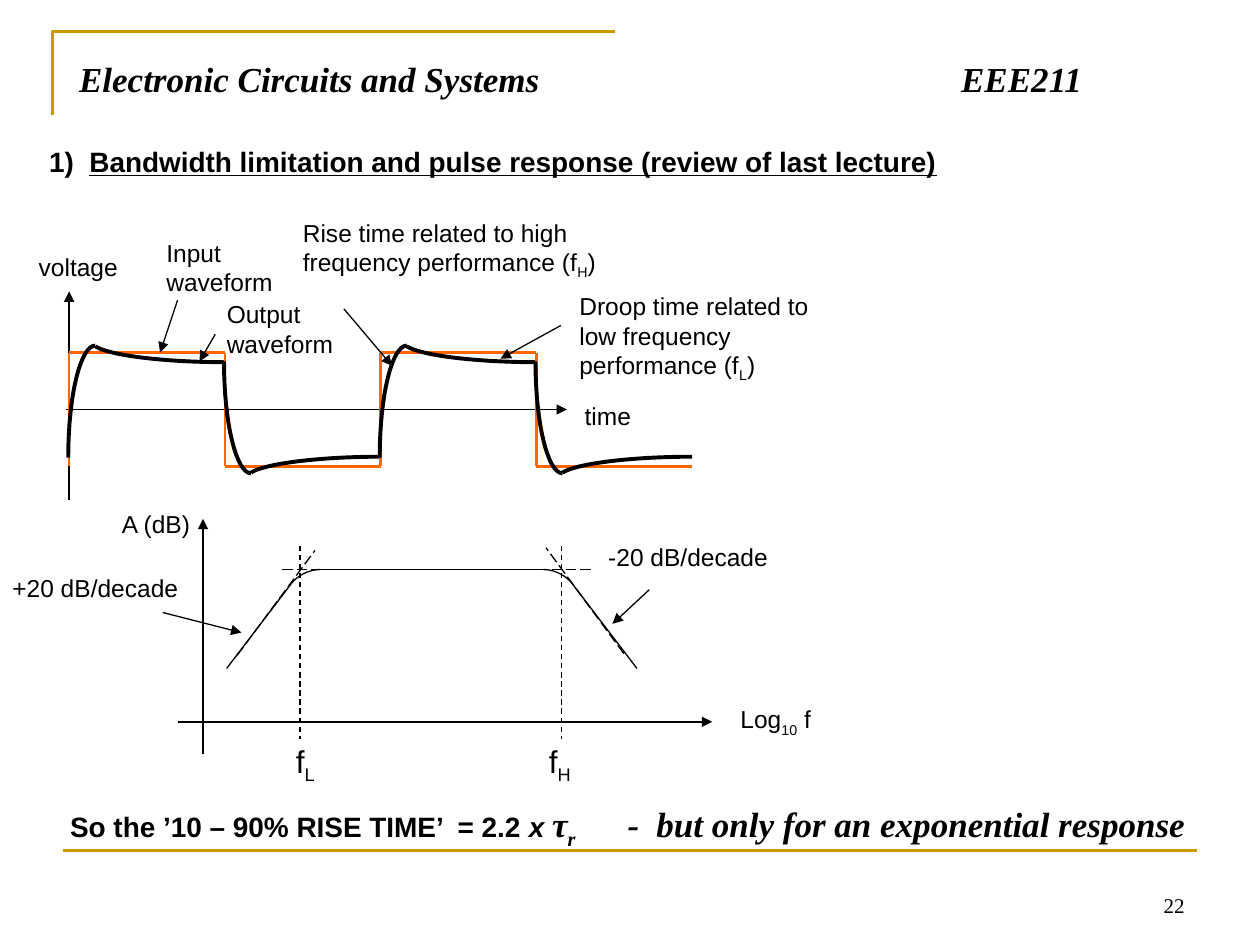
from lxml import etree
from pptx import Presentation
from pptx.dml.color import RGBColor
from pptx.enum.dml import MSO_LINE
from pptx.enum.shapes import MSO_CONNECTOR
from pptx.enum.text import MSO_ANCHOR, MSO_AUTO_SIZE, PP_ALIGN
from pptx.oxml.ns import qn
from pptx.util import Pt

STRAIGHT = MSO_CONNECTOR.STRAIGHT
DASH, LONG_DASH = MSO_LINE.DASH, MSO_LINE.LONG_DASH
TOP, MIDDLE, BOTTOM = MSO_ANCHOR.TOP, MSO_ANCHOR.MIDDLE, MSO_ANCHOR.BOTTOM
LEFT, RIGHT = PP_ALIGN.LEFT, PP_ALIGN.RIGHT
NO_AUTOSIZE = MSO_AUTO_SIZE.NONE
BLACK, GOLD, ORANGE = "000000", "CC9900", "FF6600"
SANS, SERIF = "Arial", "Times New Roman"
TITLE_ONLY = 5


def color(value):
    return RGBColor.from_string(value)


def bezier(start, control_1, control_2, end, steps=16):
    points = []
    for step in range(steps + 1):
        t = step / steps
        weights = ((1 - t) ** 3, 3 * t * (1 - t) ** 2, 3 * t * t * (1 - t), t ** 3)
        corners = (start, control_1, control_2, end)
        points.append(tuple(sum(w * c[axis] for w, c in zip(weights, corners)) for axis in (0, 1)))
    return points


class SlideBuilder:
    """Holds the drawing style and the slide being filled."""

    def __init__(self, slide):
        self.slide = slide
        self.shapes = slide.shapes

    def line(self, start, end, line_color=BLACK, width=0.75, dash=None, arrow=False):
        connector = self.shapes.add_connector(STRAIGHT, *(Pt(v) for v in (*start, *end)))
        connector.line.color.rgb = color(line_color)
        connector.line.width = Pt(width)
        if dash is not None:
            connector.line.dash_style = dash
        properties = connector._element.spPr
        if arrow:
            etree.SubElement(properties.get_or_add_ln(), qn("a:tailEnd"), type="triangle")
        etree.SubElement(properties, qn("a:effectLst"))

    def outline(self, points, line_color=BLACK, width=0.75):
        corners = [(Pt(x), Pt(y)) for x, y in points]
        freeform = self.shapes.build_freeform(*corners[0], scale=1.0)
        freeform.add_line_segments(corners[1:], close=False)
        shape = freeform.convert_to_shape()
        shape.shadow.inherit = False
        shape.fill.background()
        shape.line.color.rgb = color(line_color)
        shape.line.width = Pt(width)

    def set_runs(self, shape, runs, size, font=SANS, anchor=TOP, align=LEFT, tabs=(), **style):
        frame = shape.text_frame
        frame.word_wrap = True
        frame.auto_size = NO_AUTOSIZE
        frame.vertical_anchor = anchor
        paragraph = frame.paragraphs[0]
        paragraph.alignment = align
        if tabs:
            tab_list = etree.SubElement(paragraph._p.get_or_add_pPr(), qn("a:tabLst"))
            for position in tabs:
                etree.SubElement(tab_list, qn("a:tab"), pos=str(int(Pt(position))), algn="l")
        for text, changes in runs:
            look = {"size": size, "name": font, **style, **changes}
            run = paragraph.add_run()
            run.text = text
            run.font.size = Pt(look["size"])
            run.font.name = look["name"]
            run.font.bold = look.get("bold", False)
            run.font.italic = look.get("italic", False)
            run.font.underline = look.get("underline", False)
            run.font.color.rgb = color(BLACK)
            if look.get("subscript"):
                run._r.get_or_add_rPr().set("baseline", "-25000")

    def text(self, box, runs, size=14, **style):
        shape = self.shapes.add_textbox(*(Pt(v) for v in box))
        self.set_runs(shape, runs, size, **style)

    def title(self, box, runs, size, **style):
        shape = self.shapes.title
        shape.left, shape.top, shape.width, shape.height = (Pt(v) for v in box)
        self.set_runs(shape, runs, size, **style)


def plain(text):
    return [(text, {})]


def with_subscript(before, subscript, after=""):
    runs = [(before, {}), (subscript, {"subscript": True})]
    return runs + plain(after) if after else runs


def draw_frame(builder):
    builder.outline([(30, 66), (30, 18), (351.5, 18)], GOLD, 1.5)
    builder.line((36, 486), (684, 486), GOLD, 1.5)
    builder.text((516, 492, 168, 36), plain("22"), 12, font=SERIF, anchor=BOTTOM, align=RIGHT)
    builder.title((38, 29, 642, 44), plain("Electronic Circuits and Systems\tEEE211"), 20,
                  font=SERIF, tabs=[504], bold=True, italic=True)
    heading = "Bandwidth limitation and pulse response (review of last lecture)"
    builder.text((21, 79, 522, 27), [("1)\t", {}), (heading, {"underline": True})], 16,
                 tabs=[23], bold=True)
    serif = {"name": SERIF, "size": 20, "italic": True}
    builder.text((33, 456.5, 666, 32), [
        ("So the ’10 – 90% RISE TIME’  = 2.2", {}),
        (" x ", {"italic": True}),
        ("τ", serif),
        ("r", {**serif, "subscript": True}),
        ("\t-\tbut only for an exponential response", serif),
    ], 16, anchor=MIDDLE, tabs=[318.5, 335], bold=True)


def draw_frequency_response(builder):
    builder.line((101.5, 412.5), (407, 412.5), arrow=True)
    builder.line((116, 431), (116, 296.5), arrow=True)
    flat, mirror = 325.5, 493.5
    knee = [(183, flat), (177, flat), (170.5, 328.5), (166.5, 333.5)]
    foot = (129.5, 382)
    builder.line((mirror - knee[0][0], flat), knee[0])
    for reflect in (lambda point: point, lambda point: (mirror - point[0], point[1])):
        builder.outline(bezier(*map(reflect, knee)))
        builder.line(reflect(knee[-1]), reflect(foot))
    builder.line((337.5, flat), (160, flat), dash=LONG_DASH)
    builder.line((135.5, 374.5), (180, 314.5), dash=LONG_DASH)
    builder.line((356.5, 373.5), (312, 313), dash=LONG_DASH)
    for x, left, letter in ((171.5, 162, "L"), (321, 306.5, "H")):
        builder.line((x, 312), (x, 422.5), dash=DASH)
        builder.text((left, 420.5, 29, 29), with_subscript("f", letter), 18)
    builder.text((62.5, 287.5, 73, 24), plain("A (dB)"))
    builder.text((416, 399, 87, 24), with_subscript("Log", "10", " f"))
    builder.text((340.5, 306, 108, 24), plain("-20 dB/decade"))
    builder.line((371, 337), (350, 356.5), arrow=True)
    builder.text((0, 324, 119, 24), plain("+20 dB/decade"))
    builder.line((93, 350), (138, 361.5), arrow=True)


def draw_pulse_response(builder):
    first_edge, half_period, axis = 39.5, 89, 234
    high = 201.5
    low = 2 * axis - high
    builder.line((37.5, axis), (324, axis), arrow=True)
    builder.line((39.5, 286), (39.5, 166.5), arrow=True)
    rise = [(15, 197.5), (6.5, 197.5), (-0.5, 226), (-0.5, 261.5)]
    droop = [(89, 207), (53.5, 207), (23, 203), (15, 198)]
    for index in range(4):
        edge = first_edge + index * half_period
        falling = index % 2
        level = low if falling else high
        builder.line((edge, low), (edge, high), ORANGE, 1.5)
        builder.line((edge, level), (edge + half_period, level), ORANGE, 1.5)
        for curve in (rise, droop):
            corners = [(edge + x, 2 * axis - y if falling else y) for x, y in curve]
            builder.outline(bezier(*corners), width=2.25)
    labels = [
        ((88, 132.5, 91, 36), plain("Input waveform")),
        ((122.5, 167.5, 91, 36), plain("Output waveform")),
        ((327, 225.5, 53, 24), plain("time")),
        ((15, 140.5, 63, 21), plain("voltage")),
        ((166, 121, 194, 41),
         with_subscript("Rise time related to high frequency performance (f", "H", ")")),
        ((324, 163, 166, 36),
         with_subscript("Droop time related to low frequency performance (f", "L", ")")),
    ]
    for box, runs in labels:
        builder.text(box, runs)
    for start, end in (((123, 191), (114, 206.5)), ((320.5, 186), (286, 205)),
                       ((196.5, 176.5), (224, 209)), ((101.5, 171.5), (91.5, 201.5))):
        builder.line(start, end, arrow=True)


def main():
    presentation = Presentation()
    presentation.slide_width, presentation.slide_height = Pt(720), Pt(540)
    slide = presentation.slides.add_slide(presentation.slide_layouts[TITLE_ONLY])
    builder = SlideBuilder(slide)
    draw_frame(builder)
    draw_frequency_response(builder)
    draw_pulse_response(builder)
    presentation.save("out.pptx")


if __name__ == "__main__":
    main()
